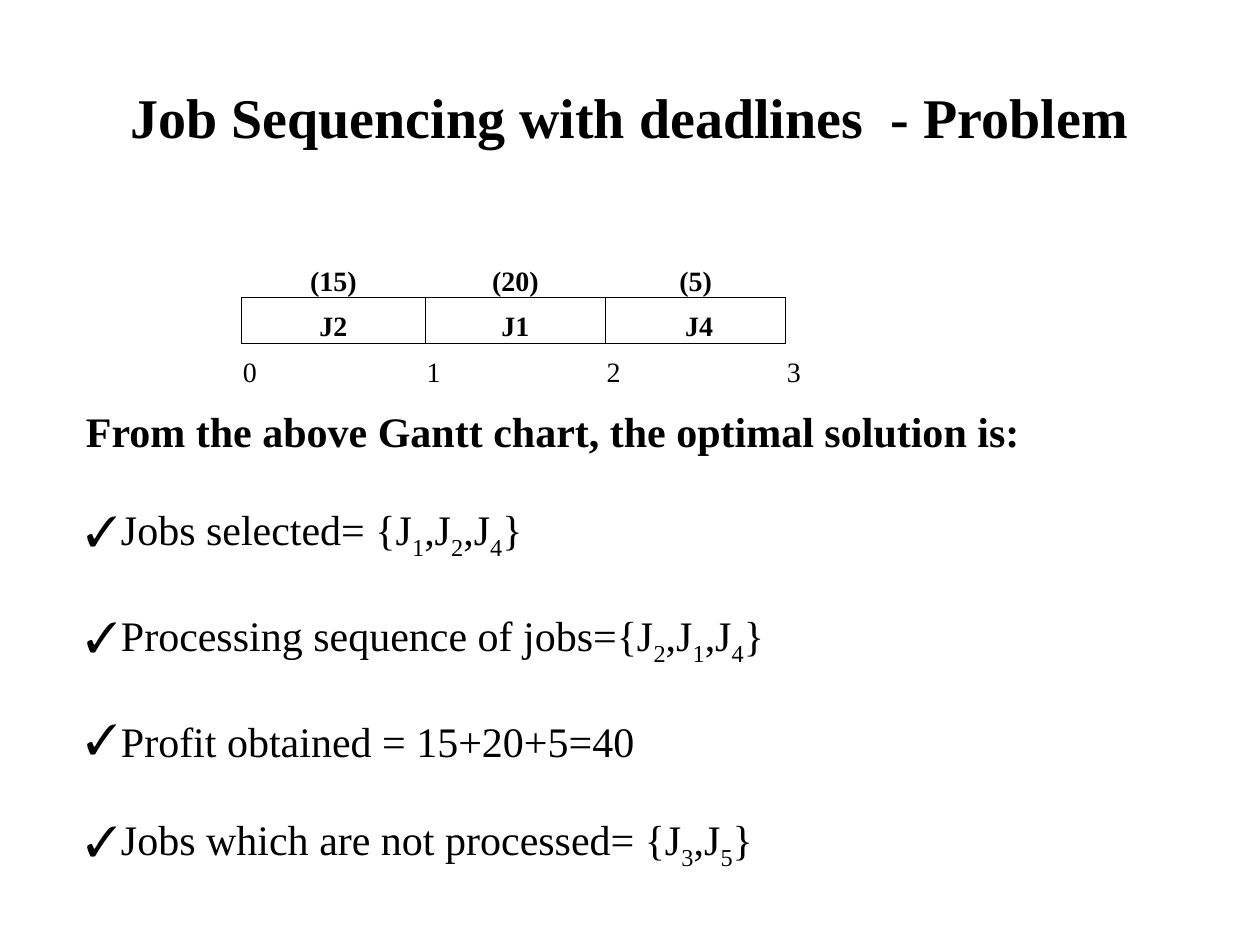
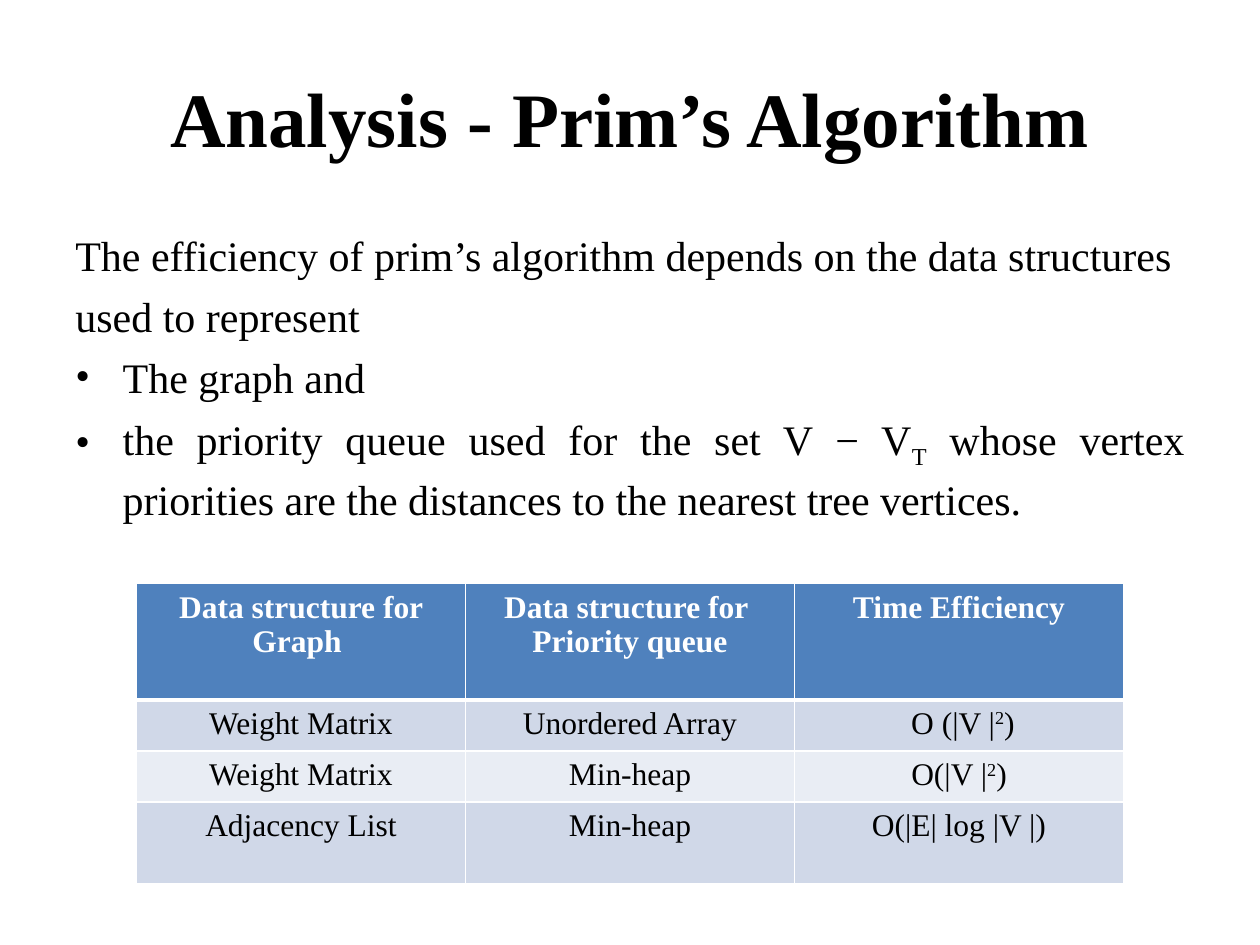
from dataclasses import dataclass

import pptx
import pptx.dml.color
import pptx.enum.text
import pptx.oxml
import pptx.oxml.ns
import pptx.util
from pptx.util import Pt

ALIGN = pptx.enum.text.PP_ALIGN
ANCHOR = pptx.enum.text.MSO_ANCHOR
NO_GRID_STYLE = "{2D5ABB26-0587-4C30-8999-92F81FD0307C}"


@dataclass(frozen=True)
class Theme:
    font: str = "Times New Roman"
    ink: str = "000000"
    white: str = "FFFFFF"
    header: str = "4F81BD"
    bands: tuple = ("D0D8E8", "E9EDF4")
    body_size: int = 24
    table_size: int = 18
    gantt_size: int = 16
    subscript: int = -25
    superscript: int = 30


THEME = Theme()


def sub(text):
    return text, THEME.subscript


def sup(text):
    return text, THEME.superscript


def job_set(label, numbers):
    """Spans for a label followed by a set of jobs with subscript numbers."""
    spans = []
    lead = label + "{J"
    for number in numbers:
        spans += [lead, sub(number)]
        lead = ",J"
    return spans + ["}"]


class SlideBuilder:
    def __init__(self, theme):
        self.theme = theme
        self.deck = pptx.Presentation()
        self.deck.slide_width, self.deck.slide_height = Pt(720), Pt(540)
        self.slide = None

    def new_slide(self, title, size):
        self.slide = self.deck.slides.add_slide(self.deck.slide_layouts[6])
        frame = self.text_box(36, 21.6, 648, 90)
        frame.vertical_anchor = ANCHOR.MIDDLE
        self.add_spans(frame.paragraphs[0], [title], size, bold=True, align=ALIGN.CENTER)

    def text_box(self, left, top, width, height):
        box = self.slide.shapes.add_textbox(Pt(left), Pt(top), Pt(width), Pt(height))
        box.text_frame.word_wrap = True
        return box.text_frame

    def add_spans(self, para, spans, size, bold=False, color=None, align=ALIGN.LEFT):
        """Add spans, each a string or a (text, baseline percent) pair."""
        para.alignment = align
        for item in spans:
            text, baseline = (item, 0) if isinstance(item, str) else item
            span = para.add_run()
            span.text = text
            font = span.font
            font.name, font.size, font.bold = self.theme.font, Pt(size), bold
            font.color.rgb = pptx.dml.color.RGBColor.from_string(color or self.theme.ink)
            if baseline:
                span._r.get_or_add_rPr().set("baseline", str(baseline * 1000))

    def hang(self, para, indent, bullet=None):
        """Give a hanging indent, with a bullet if one is named."""
        properties = para._p.get_or_add_pPr()
        properties.set("marL", str(Pt(indent)))
        properties.set("indent", str(-Pt(indent)))
        if bullet:
            namespace = pptx.oxml.ns.nsdecls("a")
            for mark in (f'buFont {namespace} typeface="{self.theme.font}"',
                         f'buChar {namespace} char="{bullet}"'):
                properties.append(pptx.oxml.parse_xml(f"<a:{mark}/>"))

    def paragraphs(self, frame, lines, gap, indent, align=ALIGN.LEFT, spacing=None):
        """Fill a frame with (spans, bullet, bold) lines set a gap apart."""
        for index, (spans, bullet, bold) in enumerate(lines):
            para = frame.add_paragraph() if index else frame.paragraphs[0]
            if index:
                para.space_before = Pt(gap)
            if spacing:
                para.line_spacing = spacing
            self.hang(para, indent, bullet)
            self.add_spans(para, spans, self.theme.body_size, bold, align=align)

    def table(self, left, top, widths, heights):
        frame = self.slide.shapes.add_table(
            len(heights), len(widths), Pt(left), Pt(top), Pt(sum(widths)), Pt(sum(heights)))
        table = frame.table
        table.first_row = table.horz_banding = False
        table._tbl.tblPr.find(pptx.oxml.ns.qn("a:tableStyleId")).text = NO_GRID_STYLE
        for column, width in zip(table.columns, widths):
            column.width = Pt(width)
        for row, height in zip(table.rows, heights):
            row.height = Pt(height)
        return table

    def paint(self, cell, fill=None):
        if fill:
            cell.fill.solid()
            cell.fill.fore_color.rgb = pptx.dml.color.RGBColor.from_string(fill)
        else:
            cell.fill.background()

    def borders(self, cell, color, widths):
        """Draw the cell edges named in widths: a dict from L, R, T, B to points."""
        properties = cell._tc.get_or_add_tcPr()
        edges = [edge for edge in "LRTB" if edge in widths]
        for index, edge in enumerate(edges):
            properties.insert(index, pptx.oxml.parse_xml(
                f'<a:ln{edge} {pptx.oxml.ns.nsdecls("a")} w="{Pt(widths[edge])}">'
                f'<a:solidFill><a:srgbClr val="{color}"/></a:solidFill></a:ln{edge}>'))

    def gantt_chart(self, left, top, widths, row_height, rows):
        """Three rows: profits, boxed jobs and times; the last column has no job."""
        table = self.table(left, top, widths, [row_height] * len(rows))
        job_edges = ("B", "LRTB", "T")
        end_edges = ("", "L", "")
        for r, texts in enumerate(rows):
            for c in range(len(widths)):
                cell = table.cell(r, c)
                cell.margin_left = cell.margin_right = cell.margin_top = Pt(0.75)
                cell.margin_bottom = Pt(0)
                cell.vertical_anchor = ANCHOR.BOTTOM
                self.paint(cell)
                edges = end_edges[r] if c == len(widths) - 1 else job_edges[r]
                self.borders(cell, self.theme.ink, dict.fromkeys(edges, 0.5))
                if c < len(texts):
                    is_time = r == 2
                    self.add_spans(cell.text_frame.paragraphs[0], [texts[c]],
                                   self.theme.gantt_size, bold=not is_time,
                                   align=ALIGN.LEFT if is_time else ALIGN.CENTER)

    def banded_table(self, left, top, widths, heights, rows):
        """Each cell is a list of paragraphs, each a list of spans."""
        theme = self.theme
        table = self.table(left, top, widths, heights)
        for r, cells in enumerate(rows):
            is_header = r == 0
            for c, lines in enumerate(cells):
                cell = table.cell(r, c)
                self.paint(cell, theme.header if is_header else theme.bands[(r - 1) % 2])
                self.borders(cell, theme.white, {
                    "L": 1, "R": 1, "T": 3 if r == 1 else 1, "B": 3 if is_header else 1})
                for index, spans in enumerate(lines):
                    frame = cell.text_frame
                    para = frame.add_paragraph() if index else frame.paragraphs[0]
                    self.add_spans(para, spans, theme.table_size, is_header,
                                   theme.white if is_header else theme.ink, ALIGN.CENTER)


def job_sequencing_slide(builder):
    builder.new_slide("Job Sequencing with deadlines  - Problem", 32)
    builder.gantt_chart(138, 144, [105, 103, 103, 103], 26, [
        ["(15)", "(20)", "(5)"],
        ["J2", "J1", " J4"],
        ["0", "1", "2", "3"],
    ])
    solution = builder.text_box(42, 228, 588, 291)
    results = [
        job_set("Jobs selected= ", "124"),
        job_set("Processing sequence of jobs=", "214"),
        ["Profit obtained = 15+20+5=40"],
        job_set("Jobs which are not processed= ", "35"),
    ]
    lines = [(["From the above Gantt chart, the optimal solution is:"], None, True)]
    lines += [(spans, "✓", False) for spans in results]
    builder.paragraphs(solution, lines, gap=27.6, indent=20)


def prim_analysis_slide(builder):
    builder.new_slide("Analysis - Prim’s Algorithm", 44)
    body = builder.text_box(36, 126, 648, 174)
    builder.paragraphs(body, [
        (["The efficiency of prim’s algorithm depends on the data structures"], None, False),
        (["used to represent"], None, False),
        (["The graph and"], "•", False),
        (["the priority queue used for the set V − V", sub("T"),
          " whose vertex priorities are the distances to the nearest tree vertices."],
         "•", False),
    ], gap=4.8, indent=27, align=ALIGN.JUSTIFY, spacing=1.05)
    builder.banded_table(78, 333.5, [188] * 3, [66.5, 29.2, 29.2, 46.8], [
        [[["Data structure for Graph "]],
         [["Data structure for "], ["Priority queue"]],
         [["Time Efficiency"]]],
        [[["Weight Matrix"]], [["Unordered Array"]], [[" O (|V |", sup("2"), ")"]]],
        [[["Weight Matrix"]], [["Min-heap"]], [["O(|V |", sup("2"), ")"]]],
        [[["Adjacency List"]], [["Min-heap"]], [["O(|E| log |V |)"]]],
    ])


def main():
    builder = SlideBuilder(THEME)
    job_sequencing_slide(builder)
    prim_analysis_slide(builder)
    builder.deck.save("out.pptx")


if __name__ == "__main__":
    main()
